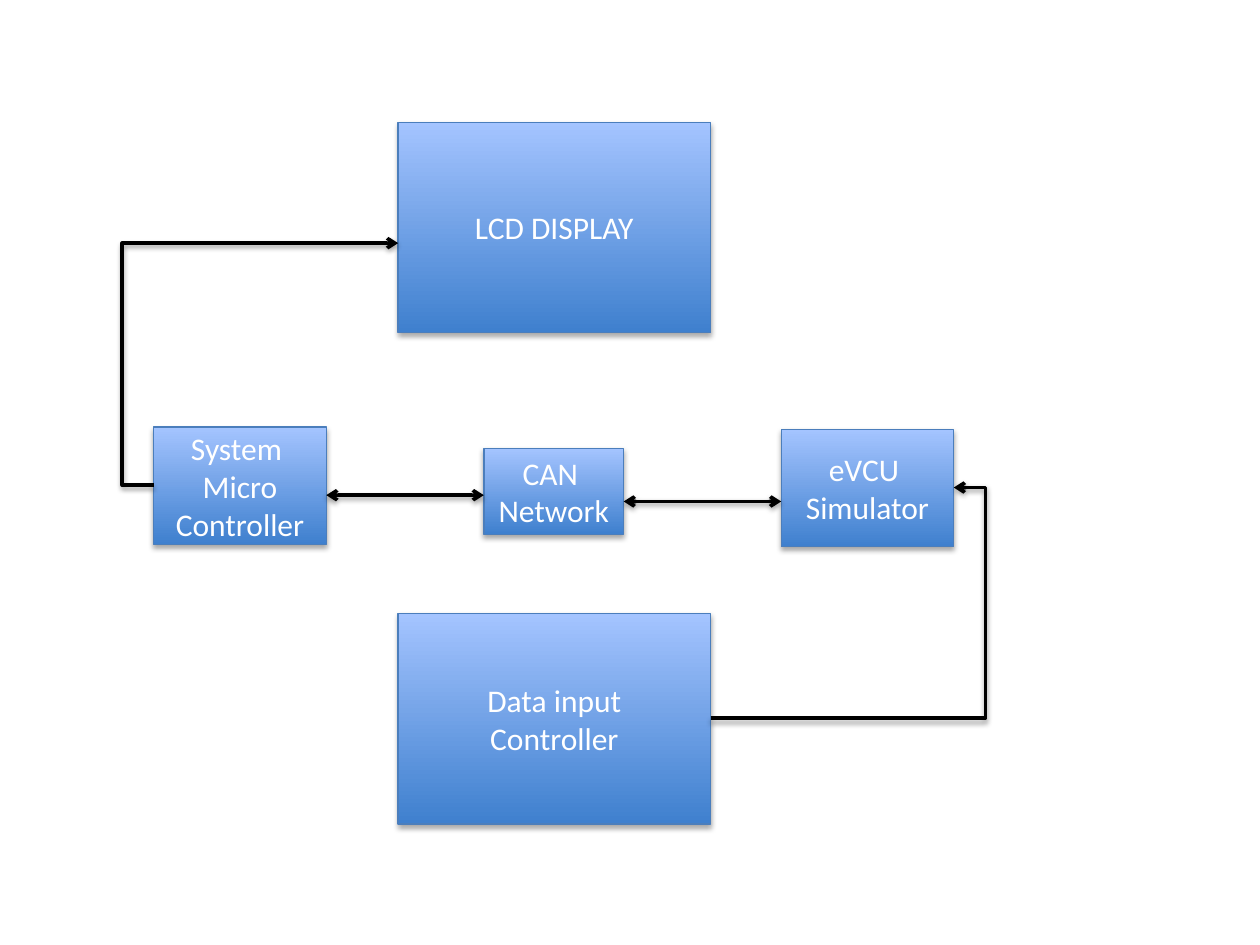
from dataclasses import dataclass

from lxml.etree import SubElement
from pptx import Presentation
from pptx.dml.color import RGBColor
from pptx.enum.shapes import MSO_CONNECTOR as Connector, MSO_SHAPE as Shape
from pptx.enum.text import MSO_ANCHOR as Anchor, PP_ALIGN as Align
from pptx.oxml.ns import qn
from pptx.util import Inches, Pt


@dataclass(frozen=True)
class Theme:
    font: str = "Calibri"
    text_size: float = 18
    text: str = "FFFFFF"
    bottom: str = "3F80CE"
    top: str = "A4C4FF"
    border: str = "4B7EBC"
    border_width: float = 0.75
    wire: str = "000000"
    wire_width: float = 2


THEME = Theme()
LARGE, MEDIUM, SMALL = (2.48, 1.67), (1.37, 0.93), (1.11, 0.68)
REACH = 0.25  # how far an elbow runs out beyond its box

# name: (left, top), size, paragraphs
BOXES = {
    "display": ((3.16, 0.97), LARGE, ["LCD DISPLAY"]),
    "input": ((3.16, 4.87), LARGE, ["Data input", "Controller"]),
    "system": ((1.22, 3.39), MEDIUM, ["System ", "Micro Controller"]),
    "simulator": ((6.2, 3.41), MEDIUM, ["eVCU ", "Simulator"]),
    "network": ((3.84, 3.56), SMALL, ["CAN ", "Network"]),
}

# (box, side, y) at each end, arrow at both ends, side on which an elbow runs out
WIRES = [
    (("network", "right", 3.98), ("simulator", "left", 3.98), True, None),
    (("system", "right", 3.93), ("network", "left", 3.93), True, None),
    (("input", "right", 5.7), ("simulator", "right", 3.87), False, "right"),
    (("system", "left", 3.85), ("display", "left", 1.93), False, "left"),
]


def color(value):
    return RGBColor.from_string(value)


def add_shadow(shape, distance, opacity):
    effects = SubElement(shape._element.spPr, qn("a:effectLst"))
    shadow = SubElement(effects, qn("a:outerShdw"), blurRad=str(Pt(3.1)),
                        dist=str(Pt(distance)), dir="5400000", rotWithShape="0")
    black = SubElement(shadow, qn("a:srgbClr"), val="000000")
    SubElement(black, qn("a:alpha"), val=str(opacity * 1000))


def add_box(slide, position, size, lines):
    shape = slide.shapes.add_shape(Shape.RECTANGLE, *map(Inches, position + size))
    shape.fill.gradient()
    shape.fill.gradient_angle = 90
    for stop, value in zip(shape.fill.gradient_stops, (THEME.bottom, THEME.top)):
        stop.color.rgb = color(value)
    shape.line.color.rgb = color(THEME.border)
    shape.line.width = Pt(THEME.border_width)
    add_shadow(shape, 1.8, 35)

    frame = shape.text_frame
    frame.word_wrap = True
    frame.vertical_anchor = Anchor.MIDDLE
    frame.text = "\n".join(lines)
    for paragraph in frame.paragraphs:
        paragraph.alignment = Align.CENTER
        font = paragraph.runs[0].font
        font.name, font.size = THEME.font, Pt(THEME.text_size)
        font.color.rgb = color(THEME.text)


def end_point(box, side, y):
    (left, _), (width, _), _ = BOXES[box]
    return left + (width if side == "right" else 0), y


def add_wire(slide, start, end, both_ends, elbow):
    begin, finish = end_point(*start), end_point(*end)
    kind = Connector.ELBOW if elbow else Connector.STRAIGHT
    wire = slide.shapes.add_connector(kind, *map(Inches, begin + finish))
    wire.line.color.rgb = color(THEME.wire)
    wire.line.width = Pt(THEME.wire_width)
    outline = wire.line._get_or_add_ln()
    for tag in ("a:headEnd", "a:tailEnd") if both_ends else ("a:tailEnd",):
        SubElement(outline, qn(tag), type="arrow")
    if elbow:
        share = REACH / (finish[0] - begin[0])
        bend = 1 + share if elbow == "right" else -share
        geometry = wire._element.spPr.find(qn("a:prstGeom"))
        guides = geometry.find(qn("a:avLst"))
        SubElement(guides, qn("a:gd"), name="adj1", fmla=f"val {round(bend * 100000)}")
    add_shadow(wire, 1.6, 38)


def main():
    presentation = Presentation()
    presentation.slide_width, presentation.slide_height = Inches(10), Inches(7.5)
    slide = presentation.slides.add_slide(presentation.slide_layouts.get_by_name("Blank"))
    for box in BOXES.values():
        add_box(slide, *box)
    for wire in WIRES:
        add_wire(slide, *wire)
    presentation.save("out.pptx")


if __name__ == "__main__":
    main()
